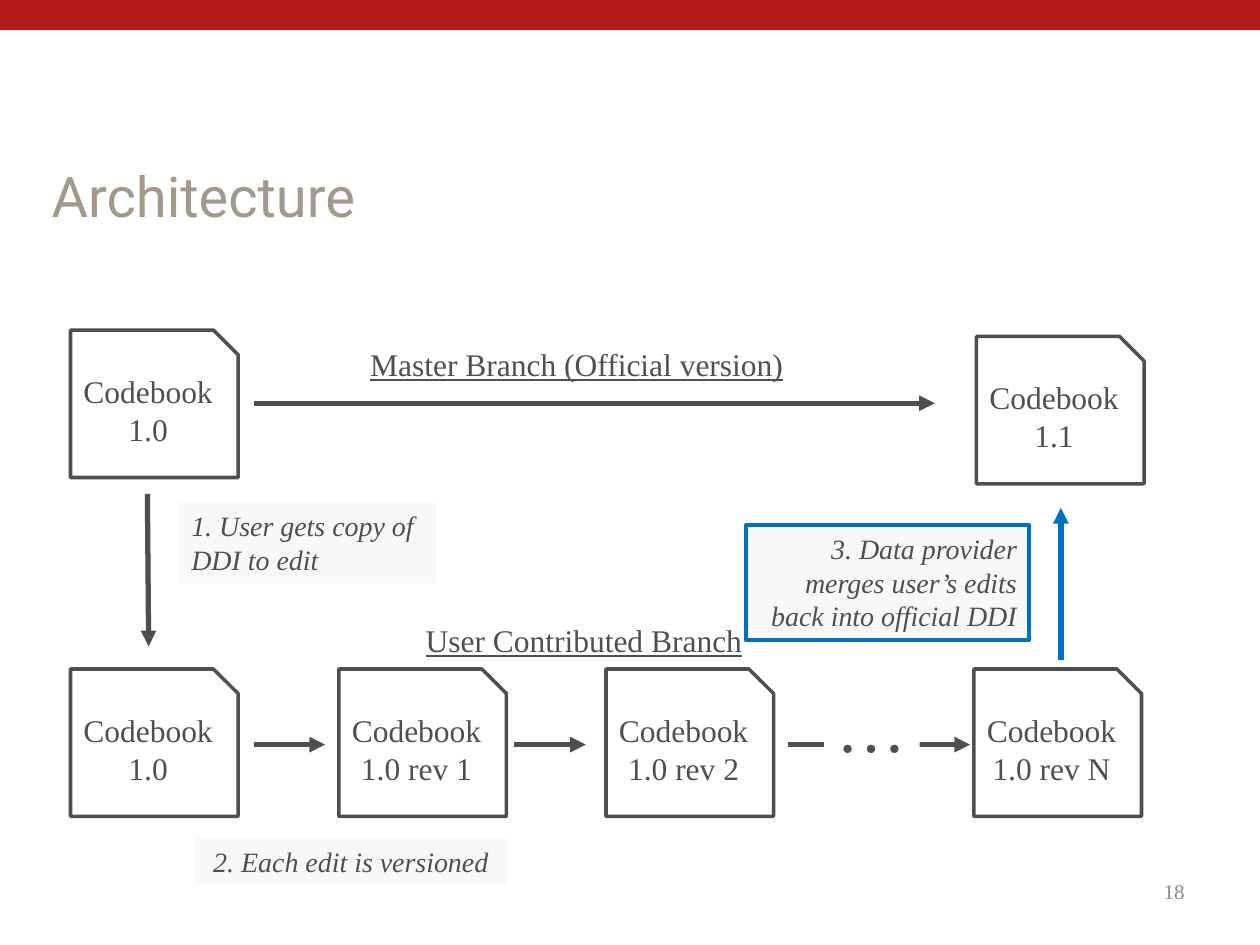
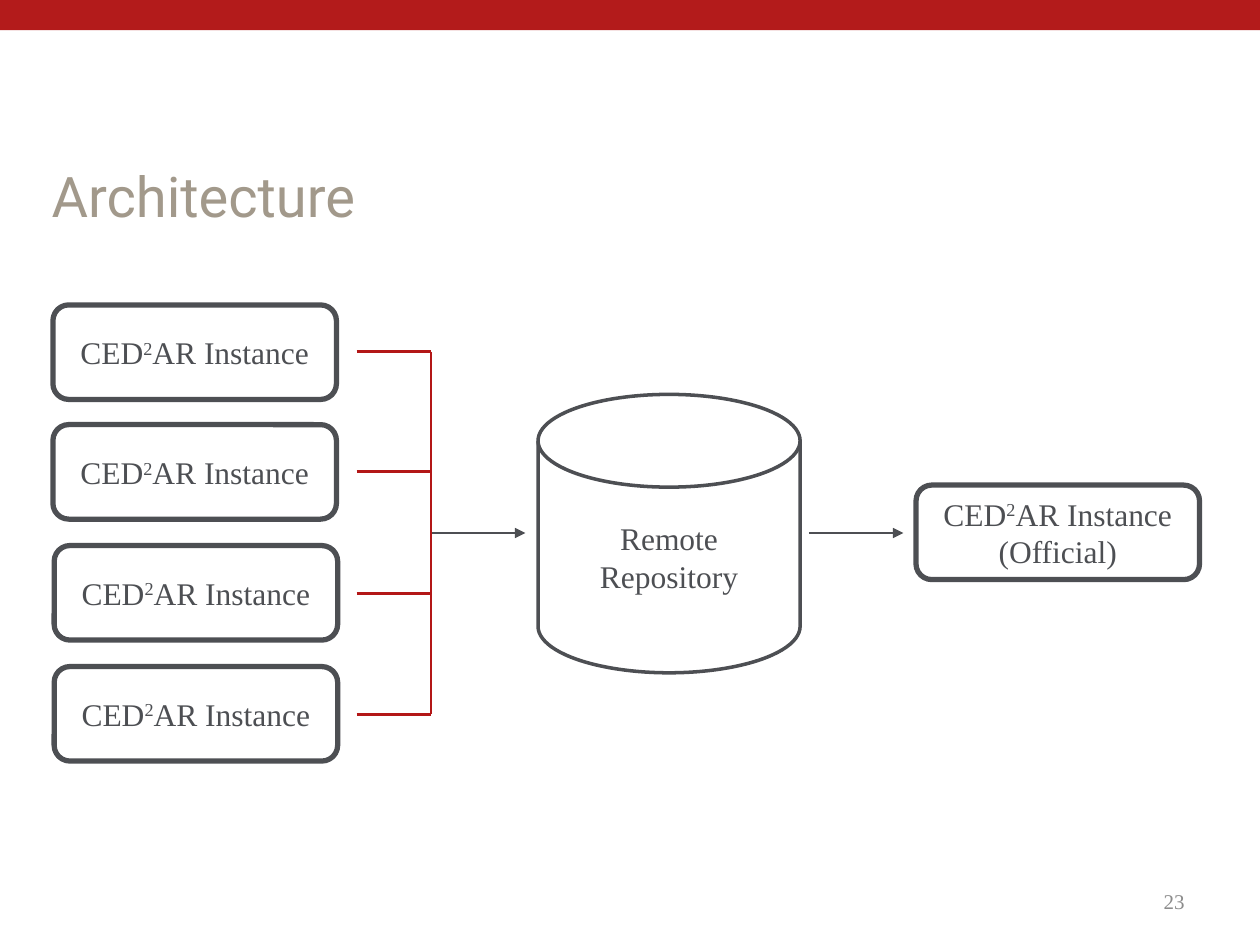
"""Build two architecture slides: codebook versioning and instance syncing."""
from lxml import etree
from pptx import Presentation
from pptx import util as u
from pptx.dml.color import RGBColor
from pptx.enum import shapes, text
from pptx.oxml.ns import qn

INK, WHITE, PALE, BLUE = "4D4F53", "FFFFFF", "F8F8F8", "0070C0"
BAND_RED, BRACKET_RED, TITLE_TAN, NUMBER_GREY = "B31B1B", "B31717", "A2998B", "8C8C8C"
SERIF = "Times New Roman"
KIND, ALIGN, ANCHOR = shapes.MSO_SHAPE, text.PP_ALIGN, text.MSO_ANCHOR
colour = RGBColor.from_string


def write(shape, content="", fill=None, line=None, weight=2, size=18, font=SERIF, ink=INK,
          align=ALIGN.CENTER, anchor=ANCHOR.MIDDLE, wrap=True, italic=None, underline=None):
    """Format a shape and its text; text between carets is superscript."""
    shape.shadow.inherit = False
    if fill:
        shape.fill.solid()
        shape.fill.fore_color.rgb = colour(fill)
    if line:
        shape.line.color.rgb = colour(line)
        shape.line.width = u.Pt(weight)
    else:
        shape.line.fill.background()
    frame = shape.text_frame
    frame.word_wrap = wrap
    frame.vertical_anchor = anchor
    for row, sentence in enumerate(content.split("\n")):
        paragraph = frame.add_paragraph() if row else frame.paragraphs[0]
        paragraph.alignment = align
        for part, words in enumerate(sentence.split("^")):
            run = paragraph.add_run()
            run.text = words
            run.font.size = u.Pt(size)
            run.font.name = font
            run.font.color.rgb = colour(ink)
            run.font.italic = italic
            run.font.underline = underline
            if part % 2:
                run.font._element.set("baseline", "30000")


def connect(slide, start, end, ink=INK, weight=3.0, arrow=True):
    """Draw a straight line, with an arrowhead at its end if wanted."""
    link = slide.shapes.add_connector(shapes.MSO_CONNECTOR.STRAIGHT, *map(u.Inches, start + end))
    link.line.color.rgb = colour(ink)
    link.line.width = u.Pt(weight)
    properties = link.element.spPr
    if arrow:
        etree.SubElement(properties.find(qn("a:ln")), qn("a:tailEnd"), type="triangle")
    etree.SubElement(properties, qn("a:effectLst"))


deck = Presentation()
deck.slide_width, deck.slide_height = u.Inches(10), u.Inches(7.5)
title_only = deck.slide_layouts[5]

pages = []
for number, number_top in (("18", 6.87), ("23", 6.95)):
    slide = deck.slides.add_slide(title_only)
    heading = slide.shapes.title
    heading.left, heading.top, heading.width, heading.height = map(u.Inches, (0.31, 1.17, 9.49, 0.75))
    write(heading, "Architecture", size=32, font="Roboto", ink=TITLE_TAN, align=ALIGN.LEFT)
    page_number = slide.shapes.add_textbox(*map(u.Inches, (7.17, number_top, 2.33, 0.4)))
    write(page_number, number, size=12, ink=NUMBER_GREY, align=ALIGN.RIGHT)
    pages.append(slide)
versioning, syncing = pages

band = versioning.shapes.add_shape(KIND.RECTANGLE, 0, 0, deck.slide_width, u.Inches(0.24))
write(band, fill=BAND_RED)
title_only.shapes.element.insert(2, band.element)

for branch, at in (
    ("Master Branch (Official version)", (2.84, 2.69, 3.74, 0.4)),
    ("User Contributed Branch", (3.28, 4.88, 2.86, 0.4)),
):
    label = versioning.shapes.add_textbox(*map(u.Inches, at))
    write(label, branch, align=ALIGN.LEFT, anchor=ANCHOR.TOP, underline=True)

for version, left, top in (
    ("1.0", 0.56, 5.31),
    ("1.0 rev 1", 2.69, 5.31),
    ("1.0 rev 2", 4.81, 5.31),
    ("1.0 rev N", 7.73, 5.31),
    ("1.0", 0.56, 2.62),
    ("1.1", 7.75, 2.67),
):
    codebook = versioning.shapes.add_shape(
        KIND.SNIP_1_RECTANGLE, *map(u.Inches, (left, top, 1.33, 1.17)))
    write(codebook, f"Codebook {version}", fill=WHITE, line=INK)

for start, end, ink in (
    ((2.02, 5.91), (2.58, 5.91), INK),
    ((4.08, 5.91), (4.65, 5.91), INK),
    ((6.25, 5.91), (7.7, 5.91), INK),
    ((8.42, 5.24), (8.42, 4.03), BLUE),
    ((2.02, 3.2), (7.42, 3.2), INK),
    ((1.17, 3.92), (1.18, 5.13), INK),
):
    connect(versioning, start, end, ink)

more_revisions = versioning.shapes.add_shape(
    KIND.RECTANGLE, *map(u.Inches, (6.54, 5.37, 0.76, 0.77)))
write(more_revisions, "…", fill=WHITE, size=40, align=ALIGN.LEFT, anchor=ANCHOR.TOP, wrap=False)

for step, at, align, border in (
    ("1. User gets copy of DDI to edit", (1.42, 3.99, 2.04, 0.64), ALIGN.LEFT, None),
    ("3. Data provider merges user’s edits back into official DDI",
     (5.92, 4.17, 2.25, 0.91), ALIGN.RIGHT, BLUE),
    ("2. Each edit is versioned", (1.55, 6.65, 2.47, 0.37), ALIGN.CENTER, None),
):
    note = versioning.shapes.add_shape(KIND.RECTANGLE, *map(u.Inches, at))
    write(note, step, fill=PALE, line=border, weight=2.25, size=16, align=align,
          anchor=ANCHOR.TOP, italic=True)

repository = syncing.shapes.add_shape(
    KIND.FLOWCHART_MAGNETIC_DISK, *map(u.Inches, (4.27, 3.13, 2.08, 2.21)))
write(repository, "Remote\nRepository", fill=WHITE, line=INK)

INSTANCE = "CED^2^AR Instance"
for name, left, top in (
    (INSTANCE, 0.42, 2.42),
    (INSTANCE, 0.42, 3.37),
    (INSTANCE, 0.43, 4.33),
    (INSTANCE, 0.43, 5.29),
    (f"{INSTANCE}\n(Official)", 7.27, 3.85),
):
    instance = syncing.shapes.add_shape(
        KIND.ROUNDED_RECTANGLE, *map(u.Inches, (left, top, 2.25, 0.75)))
    write(instance, name, fill=WHITE, line=INK, weight=3)

for left in (3.42, 6.42):
    connect(syncing, (left, 4.23), (left + 0.75, 4.23), weight=1.5)
branch_heights = (2.79, 3.74, 4.71, 5.67)
for height in branch_heights:
    connect(syncing, (2.83, height), (3.42, height), BRACKET_RED, 1.5, arrow=False)
connect(syncing, (3.42, branch_heights[0]), (3.42, branch_heights[-1]), BRACKET_RED, 1.5, arrow=False)

deck.save("out.pptx")
